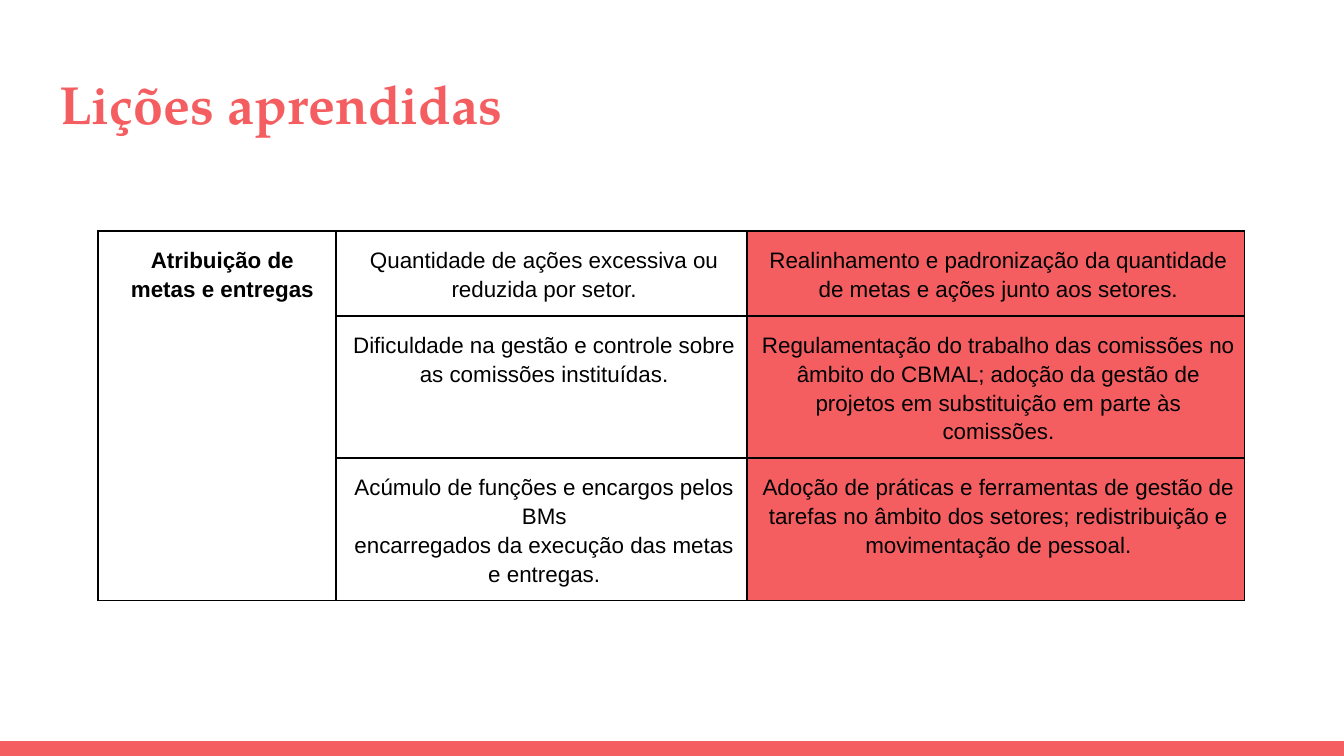
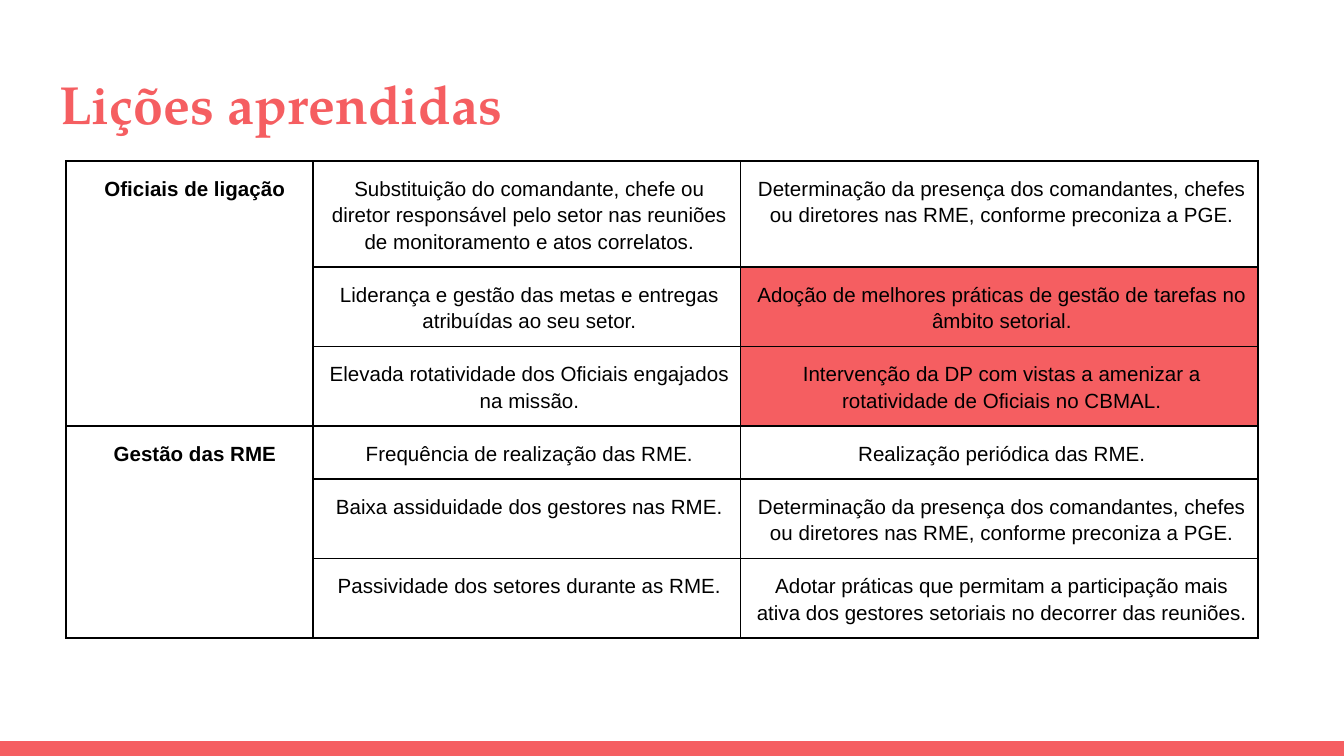
from lxml import etree
from pptx import Presentation
from pptx import util as u
from pptx.dml.color import RGBColor
from pptx.enum import shapes, text
from pptx.oxml import ns

PX = 4572
W, H = 2000, 1125
COLORS = {"coral": "F55E61", "black": "000000", "white": "FFFFFF"}


class Deck:
    """Holds the shared style and the current slide."""

    def __init__(self):
        self.prs = Presentation()
        self.prs.slide_width, self.prs.slide_height = self.px(W), self.px(H)
        self.s = None

    def px(self, n):
        return u.Emu(n * PX)

    def color(self, name):
        return RGBColor.from_string(COLORS[name])

    def run(self, p, words, font, size, color, bold=False):
        r = p.add_run()
        r.text = words
        r.font.name, r.font.size, r.font.bold = font, u.Pt(size), bold
        r.font.color.rgb = self.color(color)

    def slide(self, title):
        self.s = self.prs.slides.add_slide(self.prs.slide_layouts[5])
        self.s.background.fill.solid()
        self.s.background.fill.fore_color.rgb = self.color("white")
        self.band(1103, 22)
        self.title(title)

    def band(self, top, height):
        sp = self.s.shapes.add_shape(shapes.MSO_SHAPE.RECTANGLE, 0, self.px(top), self.px(W), self.px(height))
        sp.shadow.inherit = False
        sp.fill.solid()
        sp.fill.fore_color.rgb = self.color("coral")
        sp.line.fill.background()

    def title(self, words):
        sp = self.s.shapes.title
        sp.left, sp.top, sp.width, sp.height = map(self.px, (68, 86, 1864, 136))
        tf = sp.text_frame
        tf.word_wrap, tf.auto_size = True, text.MSO_AUTO_SIZE.NONE
        tf.vertical_anchor = text.MSO_ANCHOR.TOP
        tf.margin_left = tf.margin_right = tf.margin_top = tf.margin_bottom = self.px(20)
        p = tf.paragraphs[0]
        p.alignment = text.PP_ALIGN.LEFT
        self.run(p, words, "TeX Gyre Pagella", 28.8, "coral", True)

    def border(self, cell):
        tcPr = cell._tc.get_or_add_tcPr()
        for side in ("lnL", "lnR", "lnT", "lnB"):
            ln = etree.SubElement(tcPr, ns.qn(f"a:{side}"), w=str(u.Pt(1)))
            fill = etree.SubElement(ln, ns.qn("a:solidFill"))
            etree.SubElement(fill, ns.qn("a:srgbClr"), val=COLORS["black"])

    def cell(self, cell, words, size, heading=False, fill=None):
        self.border(cell)
        if fill:
            cell.fill.solid()
            cell.fill.fore_color.rgb = self.color(fill)
        else:
            cell.fill.background()
        cell.margin_left = cell.margin_right = self.px(14)
        cell.margin_top = cell.margin_bottom = self.px(20)
        tf = cell.text_frame
        for i, line in enumerate(words.split("\n") if words else []):
            p = tf.add_paragraph() if i else tf.paragraphs[0]
            p.alignment, p.line_spacing = text.PP_ALIGN.CENTER, 1.15
            pPr = p._p.get_or_add_pPr()
            pPr.set("marL", str(self.px(16 if heading else 8)))
            pPr.set("indent", "0")
            self.run(p, line, "Arial", size, "black", heading)

    def table(self, left, top, cols, rows, size, topics):
        frame = self.s.shapes.add_table(len(rows), len(cols), self.px(left), self.px(top),
                                        self.px(sum(cols)), self.px(sum(rows)))
        t = frame.table
        t.first_row = t.horz_banding = False
        for col, width in zip(t.columns, cols):
            col.width = self.px(width)
        for row, height in zip(t.rows, rows):
            row.height = self.px(height)
        y = 0
        for topic, lessons in topics:
            for i, (problem, action, fill) in enumerate(lessons):
                self.cell(t.cell(y + i, 0), "" if i else topic, size, True)
                self.cell(t.cell(y + i, 1), problem, size)
                self.cell(t.cell(y + i, 2), action, size, fill=fill)
            t.cell(y, 0).merge(t.cell(y + len(lessons) - 1, 0))
            y += len(lessons)


TITLE = "Lições aprendidas"
PRESENCE = "Determinação da presença dos comandantes, chefes ou diretores nas RME, conforme preconiza a PGE."
GOALS = [
    ("Atribuição de metas e entregas", [
        ("Quantidade de ações excessiva ou reduzida por setor.",
         "Realinhamento e padronização da quantidade de metas e ações junto aos setores.", "coral"),
        ("Dificuldade na gestão e controle sobre as comissões instituídas.",
         "Regulamentação do trabalho das comissões no âmbito do CBMAL; adoção da gestão de projetos "
         "em substituição em parte às comissões.", "coral"),
        ("Acúmulo de funções e encargos pelos BMs\nencarregados da execução das metas e entregas.",
         "Adoção de práticas e ferramentas de gestão de tarefas no âmbito dos setores; redistribuição "
         "e movimentação de pessoal.", "coral"),
    ]),
]
OFFICERS_AND_MEETINGS = [
    ("Oficiais de ligação", [
        ("Substituição do comandante, chefe ou diretor responsável pelo setor nas reuniões de "
         "monitoramento e atos correlatos.", PRESENCE, None),
        ("Liderança e gestão das metas e entregas atribuídas ao seu setor.",
         "Adoção de melhores práticas de gestão de tarefas no âmbito setorial.", "coral"),
        ("Elevada rotatividade dos Oficiais engajados na missão.",
         "Intervenção da DP com vistas a amenizar a rotatividade de Oficiais no CBMAL.", "coral"),
    ]),
    ("Gestão das RME", [
        ("Frequência de realização das RME.", "Realização periódica das RME.", None),
        ("Baixa assiduidade dos gestores nas RME.", PRESENCE, None),
        ("Passividade dos setores durante as RME.",
         "Adotar práticas que permitam a participação mais ativa dos gestores setoriais no decorrer "
         "das reuniões.", None),
    ]),
]


def main():
    deck = Deck()
    deck.slide(TITLE)
    deck.table(146, 344, (354, 612, 740), (98, 128, 128), 12, GOALS)
    deck.slide(TITLE)
    deck.table(98, 240, (368, 636, 770), (128, 66, 66, 66, 98, 98), 11, OFFICERS_AND_MEETINGS)
    deck.prs.save("out.pptx")


if __name__ == "__main__":
    main()
